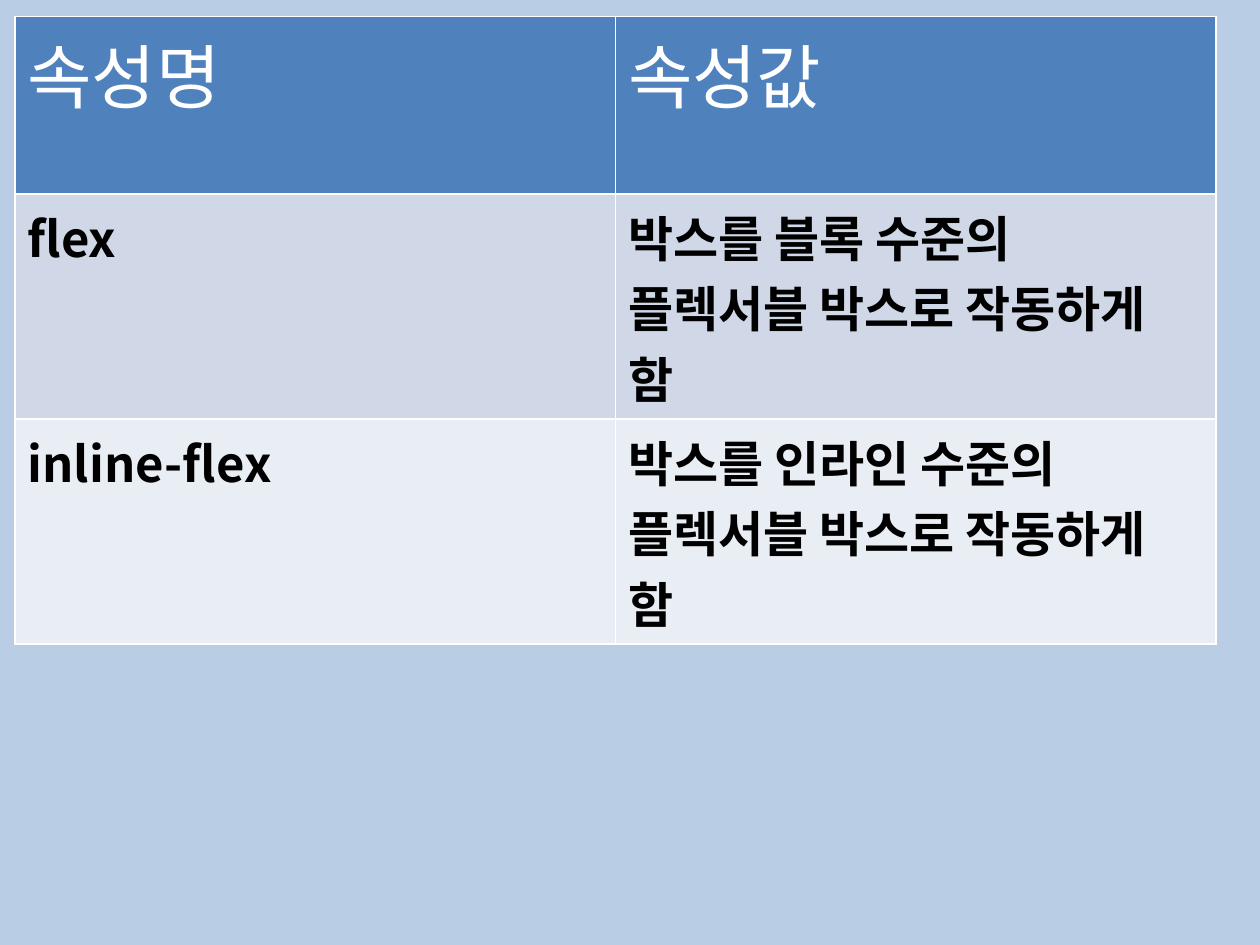
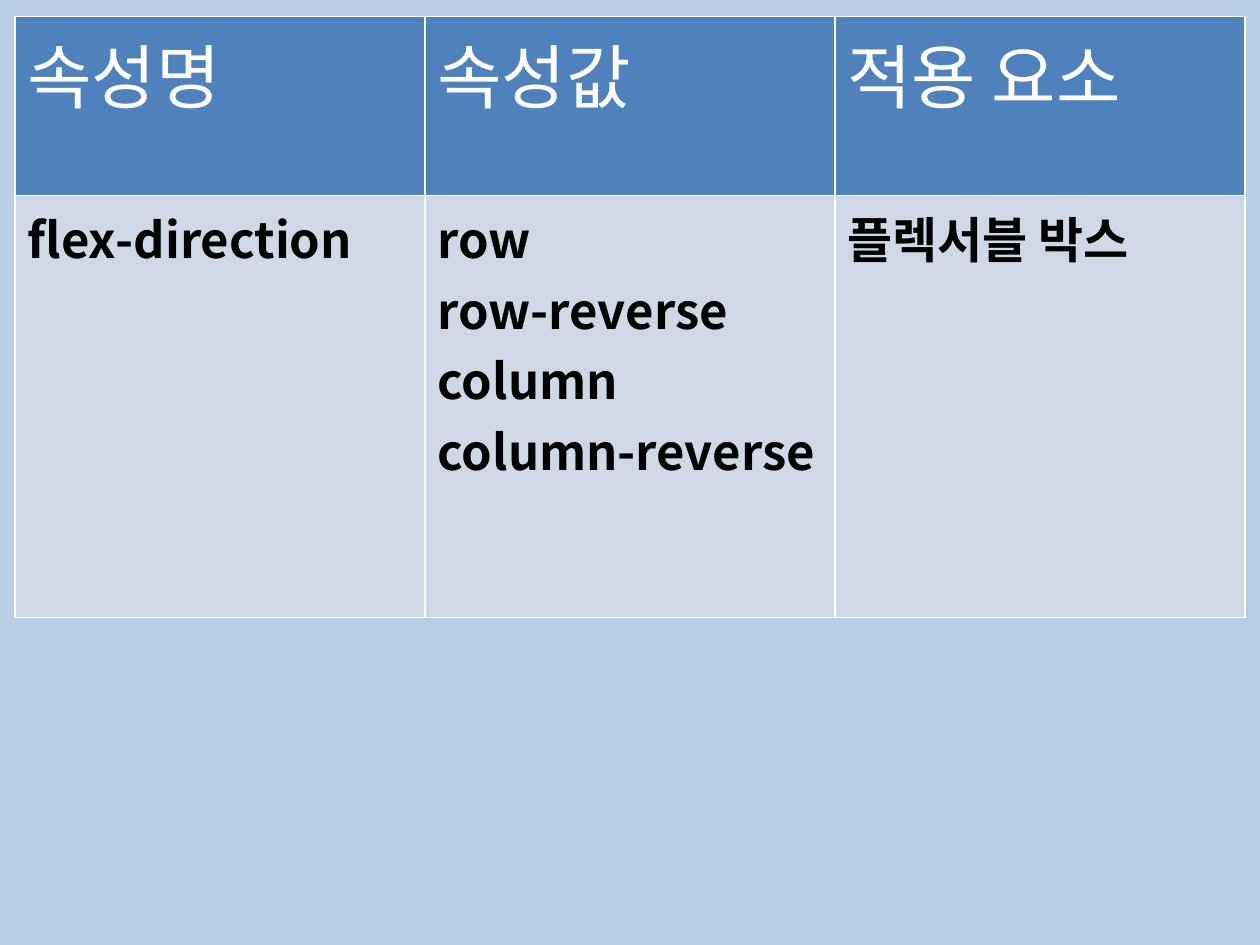
"""Build two slides of CSS flexible box property tables."""
from dataclasses import dataclass

from lxml.etree import SubElement
from pptx import Presentation
from pptx.dml.color import RGBColor
from pptx.oxml.ns import qn
from pptx.util import Inches, Pt


@dataclass(frozen=True)
class Theme:
    font: str = "Noto Sans CJK KR"
    background: str = "B9CDE5"
    header: str = "4F81BD"
    bands: tuple = ("D0D8E8", "E9EDF4")
    header_text: str = "FFFFFF"
    body_text: str = "000000"
    border: str = "FFFFFF"
    header_size: int = 40
    body_size: int = 28
    border_width: int = 1
    right_margin: float = 0.14


class Deck:
    def __init__(self, theme):
        self.theme = theme
        self.prs = Presentation()
        self.prs.slide_width, self.prs.slide_height = Inches(10), Inches(7.5)
        self.slide = None

    def add_slide(self):
        self.slide = self.prs.slides.add_slide(self.prs.slide_layouts[6])
        fill = self.slide.background.fill
        fill.solid()
        fill.fore_color.rgb = RGBColor.from_string(self.theme.background)

    def add_borders(self, cell):
        tc_pr = cell._tc.get_or_add_tcPr()
        for side in "LRTB":
            ln = SubElement(tc_pr, qn(f"a:ln{side}"), w=str(Pt(self.theme.border_width)))
            fill = SubElement(ln, qn("a:solidFill"))
            SubElement(fill, qn("a:srgbClr"), val=self.theme.border)

    def style_text(self, cell, size, color, bold):
        for p in cell.text_frame.paragraphs:
            font = p.font
            font.size, font.bold = Pt(size), bold
            font.color.rgb = RGBColor.from_string(color)
            font.name = self.theme.font
            font._element.set("kern", "0")
            SubElement(font._element, qn("a:ea"), typeface=self.theme.font)

    def fill_cell(self, cell, text, row):
        t = self.theme
        is_header = row == 0
        cell.text = text
        cell.margin_right = Inches(t.right_margin)
        self.add_borders(cell)
        cell.fill.solid()
        color = t.header if is_header else t.bands[(row - 1) % len(t.bands)]
        cell.fill.fore_color.rgb = RGBColor.from_string(color)
        if is_header:
            self.style_text(cell, t.header_size, t.header_text, False)
        else:
            self.style_text(cell, t.body_size, t.body_text, True)

    def add_table(self, rows, width, heights):
        n_cols = len(rows[0])
        table = self.slide.shapes.add_table(
            len(rows), n_cols, Inches(0.12), Inches(0.13),
            Inches(width), Inches(sum(heights))).table
        table.first_row = table.horz_banding = False
        for col in table.columns:
            col.width = Inches(width / n_cols)
        for i, (texts, height) in enumerate(zip(rows, heights)):
            table.rows[i].height = Inches(height)
            for j, text in enumerate(texts):
                self.fill_cell(table.cell(i, j), text, i)


deck = Deck(Theme())

deck.add_slide()
deck.add_table([
    ("속성명", "속성값"),
    ("flex", "박스를 블록 수준의 플렉서블 박스로 작동하게 함"),
    ("inline-flex", "박스를 인라인 수준의 플렉서블 박스로 작동하게 함"),
], 9.53, (1.41, 1.66, 1.66))

deck.add_slide()
deck.add_table([
    ("속성명", "속성값", "적용 요소"),
    ("flex-direction", "row\nrow-reverse\ncolumn\ncolumn-reverse", "플렉서블 박스"),
], 9.76, (1.42, 3.35))

deck.prs.save("out.pptx")
